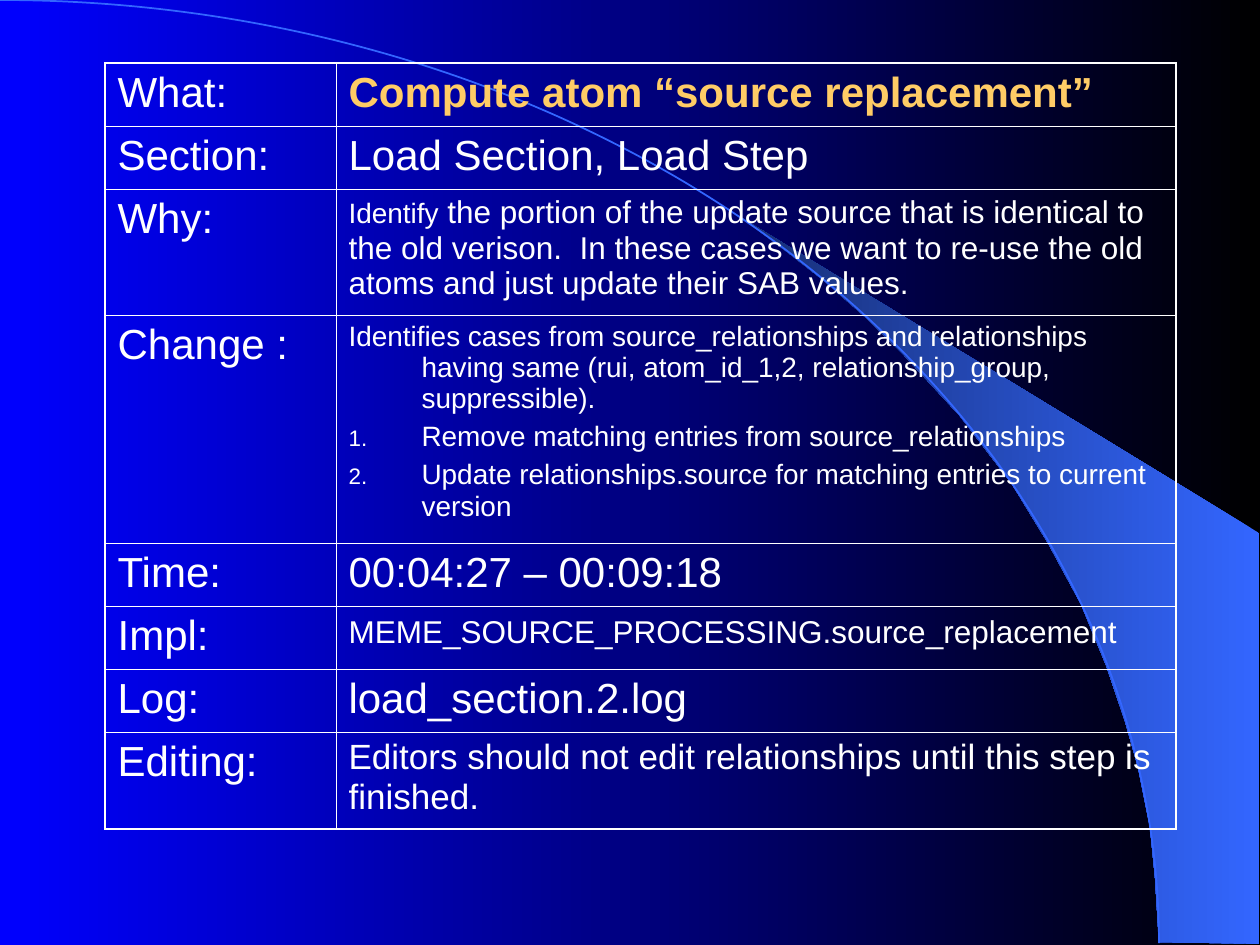
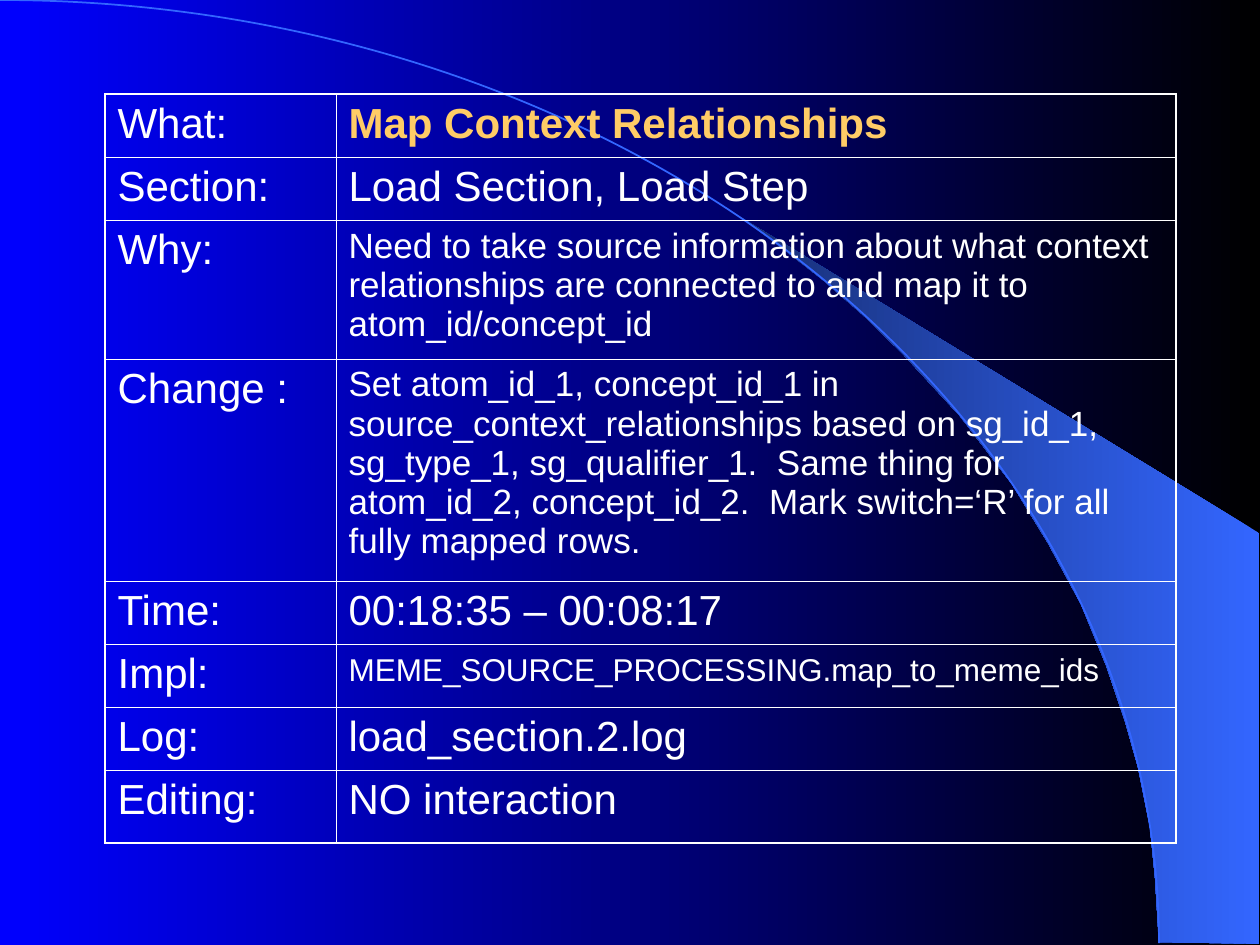
from lxml.etree import SubElement
from pptx import Presentation
from pptx.dml.color import RGBColor
from pptx.enum.shapes import MSO_SHAPE
from pptx.oxml.ns import qn
from pptx.util import Pt

PX = 914400 / 126
WHITE, GOLD, BLUE = "FFFFFF", "FFCC66", "3366FF"
OUTER, INNER = Pt(1.08), Pt(0.45)
HANGING = 73
COLUMN_WIDTHS = [231, 840]
BAND = [
    (1159, 942), (1259, 944), (1259, 533), (742, 218), (786, 251), (823, 280),
    (863, 315), (902, 353), (960, 416), (1012, 484), (1048, 543), (1081, 604),
    (1106, 665), (1125, 721), (1138, 767), (1150, 827), (1155, 877),
]

TITLE = {"size": 24, "color": GOLD, "bold": True}
SECTION = ("Section:", 63, [("Load Section, Load Step", {})], [])
LOG = ("Log:", 63, [("load_section.2.log", {})], [])
STEPS = [
    "Remove matching entries from source_relationships",
    "Update relationships.source for matching entries to current version",
]
TABLES = [
    (63, [
        ("What:", 63, [("Compute atom “source replacement”", TITLE)], []),
        SECTION,
        ("Why:", 126, [
            ("Identify", {"size": 16}),
            (" the portion of the update source that is identical to the old verison.  "
             "In these cases we want to re-use the old atoms and just update their SAB values.",
             {"size": 18}),
        ], []),
        ("Change :", 228, [
            ("Identifies cases from source_relationships and relationships having same "
             "(rui, atom_id_1,2, relationship_group, suppressible).", {"size": 16}),
        ], STEPS),
        ("Time:", 63, [("00:04:27 – 00:09:18", {})], []),
        ("Impl:", 63, [("MEME_SOURCE_PROCESSING.source_replacement", {"size": 18}),
                       (" ", {"size": 20})], []),
        LOG,
        ("Editing:", 97, [
            ("Editors should not edit relationships until this step is finished.", {"size": 20}),
        ], []),
    ]),
    (94, [
        ("What:", 63, [("Map Context Relationships", TITLE)], []),
        SECTION,
        ("Why:", 139, [
            ("Need to take source information about what context relationships are "
             "connected to and map it to atom_id/concept_id", {"size": 20}),
        ], []),
        ("Change :", 222, [
            ("Set atom_id_1, concept_id_1 in source_context_relationships based on sg_id_1, "
             "sg_type_1, sg_qualifier_1.  Same thing for atom_id_2, concept_id_2.  "
             "Mark switch=‘R’ for all fully mapped rows.", {"size": 20}),
        ], []),
        ("Time:", 63, [("00:18:35 – 00:08:17", {})], []),
        ("Impl:", 63, [("MEME_SOURCE_PROCESSING.map_to_meme_ids", {"size": 18}),
                       (" ", {"size": 20})], []),
        LOG,
        ("Editing:", 73, [("NO interaction", {})], []),
    ]),
]


def add_text(paragraph, text, size=24, color=WHITE, bold=False):
    run = paragraph.add_run()
    run.text = text
    run.font.name = "Arial"
    run.font.size = Pt(size)
    run.font.bold = bold
    run.font.color.rgb = RGBColor.from_string(color)


def fill_gradient(fill, *colors):
    fill.gradient()
    fill.gradient_angle = 180
    for stop, position, color in zip(fill.gradient_stops, (0, 1), colors):
        stop.position = position
        stop.color.rgb = RGBColor.from_string(color)


presentation = Presentation()
presentation.slide_width = round(1260 * PX)
presentation.slide_height = round(945 * PX)
fill_gradient(presentation.slide_master.background.fill, "000000", "0000FF")

for top, rows in TABLES:
    slide = presentation.slides.add_slide(presentation.slide_layouts[6])

    builder = slide.shapes.build_freeform(*BAND[0], scale=PX)
    builder.add_line_segments(BAND[1:], close=True)
    band = builder.convert_to_shape()
    band.shadow.inherit = False
    fill_gradient(band.fill, BLUE, "172F75")
    band.line.fill.background()

    arc_box = [round(length * PX) for length in (-1159, 0, 2318, 1886)]
    arc = slide.shapes.add_shape(MSO_SHAPE.ARC, *arc_box)
    arc.shadow.inherit = False
    arc.fill.background()
    arc.line.color.rgb = RGBColor.from_string(BLUE)
    arc.line.width = Pt(1)

    height = sum(row[1] for row in rows)
    table_box = [round(length * PX) for length in (105, top, sum(COLUMN_WIDTHS), height)]
    table = slide.shapes.add_table(len(rows), 2, *table_box).table
    table.first_row = False
    table.horz_banding = False
    for column, width in zip(table.columns, COLUMN_WIDTHS):
        column.width = round(width * PX)

    for row_index, (label, row_height, runs, steps) in enumerate(rows):
        table.rows[row_index].height = round(row_height * PX)
        label_cell, value_cell = table.rows[row_index].cells
        add_text(label_cell.text_frame.paragraphs[0], label)
        value = value_cell.text_frame.paragraphs[0]
        for text, text_format in runs:
            add_text(value, text, **text_format)

        for step in steps:
            paragraph = value_cell.text_frame.add_paragraph()
            paragraph.space_before = Pt(4)
            properties = paragraph._p.get_or_add_pPr()
            bullet_color = SubElement(properties, qn("a:buClr"))
            SubElement(bullet_color, qn("a:srgbClr"), val=WHITE)
            SubElement(properties, qn("a:buSzPct"), val="80000")
            SubElement(properties, qn("a:buAutoNum"), type="arabicPeriod")
            add_text(paragraph, step, size=16)
        if steps:
            for paragraph in value_cell.text_frame.paragraphs:
                properties = paragraph._p.get_or_add_pPr()
                properties.set("marL", str(round(HANGING * PX)))
                properties.set("indent", str(round(-HANGING * PX)))

        for column_index, cell in enumerate((label_cell, value_cell)):
            properties = cell._tc.get_or_add_tcPr()
            edges = {
                "a:lnL": column_index == 0,
                "a:lnR": column_index == 1,
                "a:lnT": row_index == 0,
                "a:lnB": row_index == len(rows) - 1,
            }
            for tag, is_outer in edges.items():
                border = SubElement(properties, qn(tag), w=str(OUTER if is_outer else INNER))
                border_fill = SubElement(border, qn("a:solidFill"))
                SubElement(border_fill, qn("a:srgbClr"), val=WHITE)
            cell.fill.background()

presentation.save("out.pptx")
